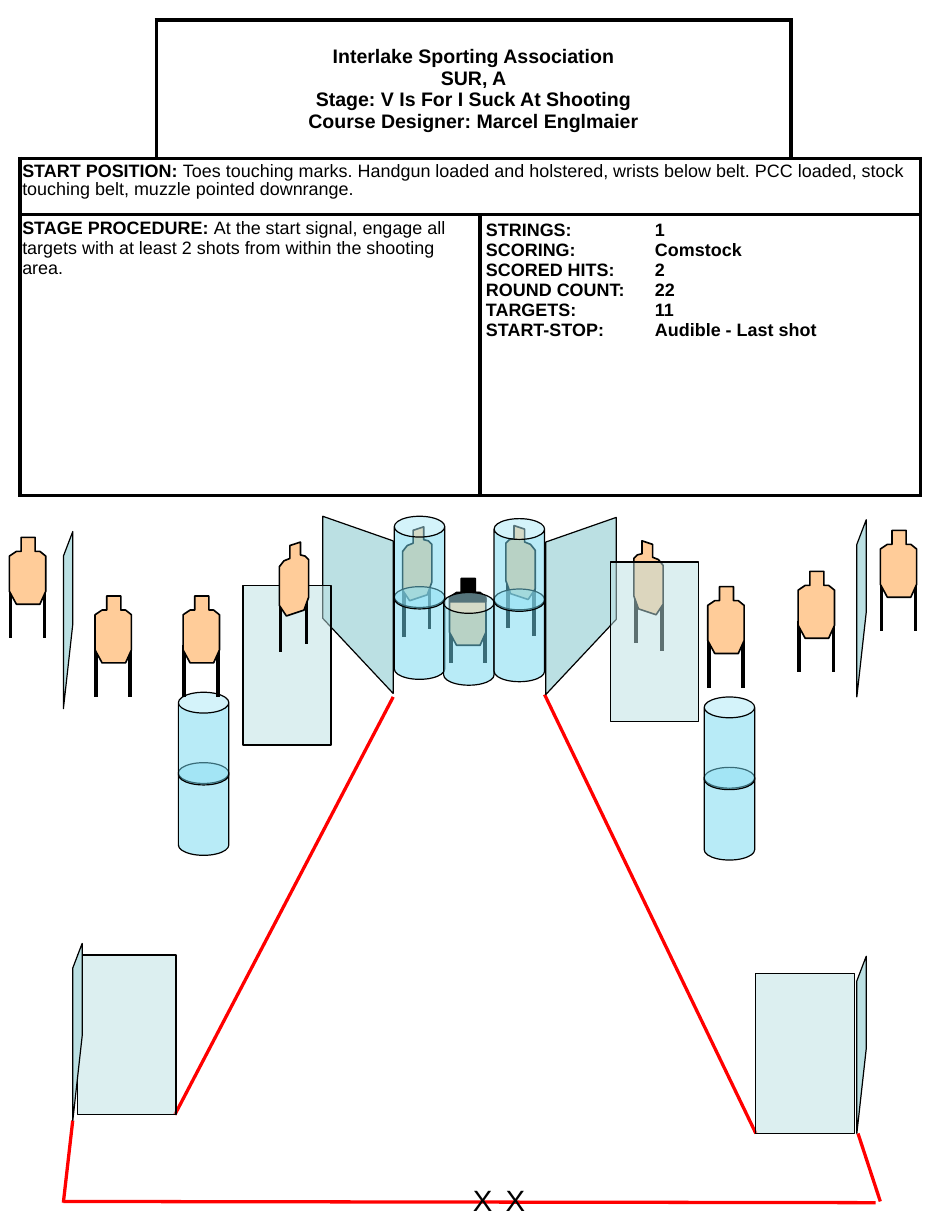
"""Build the shooting stage briefing: a stage table above a course diagram."""
from dataclasses import dataclass

from lxml import etree
from pptx import Presentation
from pptx import util as u
from pptx.dml.color import RGBColor
from pptx.enum import shapes, text
from pptx.oxml.ns import qn

EMU_PER_PX = 9144


def px(length):
    """Turn px, at 100 to the inch, into EMU."""
    return u.Emu(length * EMU_PER_PX)


@dataclass(frozen=True)
class Theme:
    """Colours, type sizes and line widths."""
    font: str = "Arial"
    ink: str = "000000"
    paper: str = "FFFFFF"
    boundary: str = "FF0000"
    target: str = "FFCC99"
    barrel: str = "73D9F1"
    wall: str = "BBE0E3"
    heading: int = 12
    body: int = 11
    mark: int = 18
    thin: float = 0.75
    outline: float = 1
    boundary_line: float = 2
    thick: float = 2.25


class StageSlide:
    """Draws the parts of a stage on one slide in one style."""

    FRONT = [(10, 0), (22, 0), (22, 12), (26, 12), (31, 16), (31, 46),
             (26, 57), (6, 57), (0, 46), (0, 16), (6, 12), (10, 12)]
    TURNED = [(9, 3), (18, 0), (18, 11), (22, 12), (25, 15), (25, 47),
              (21, 58), (6, 63), (0, 54), (0, 21), (4, 16), (9, 14)]

    def __init__(self, slide, theme):
        """Keep the slide and its style."""
        self.slide = slide
        self.theme = theme

    def paint(self, shape, color, width, opacity=100):
        """Fill and outline a shape without a shadow."""
        shape.shadow.inherit = False
        shape.fill.solid()
        shape.fill.fore_color.rgb = RGBColor.from_string(color)
        if opacity < 100:
            rgb = shape._element.spPr.find(qn("a:solidFill"))[0]
            etree.SubElement(rgb, qn("a:alpha"), val=str(opacity * 1000))
        shape.line.color.rgb = RGBColor.from_string(self.theme.ink)
        shape.line.width = u.Pt(width)

    def preset(self, kind, x, y, width, height, color, opacity=100):
        """Draw a preset shape."""
        shape = self.slide.shapes.add_shape(
            kind, px(x), px(y), px(width), px(height))
        self.paint(shape, color, self.theme.thin, opacity)
        return shape

    def polygon(self, x, y, points, color, width):
        """Draw a closed outline from points relative to x, y."""
        placed = [(x + dx, y + dy) for dx, dy in points]
        builder = self.slide.shapes.build_freeform(*placed[0], scale=EMU_PER_PX)
        builder.add_line_segments(placed[1:], close=True)
        self.paint(builder.convert_to_shape(), color, width)

    def line(self, start, end, color, width):
        """Draw a straight line between two points."""
        connector = self.slide.shapes.add_connector(
            shapes.MSO_CONNECTOR.STRAIGHT, *map(px, start + end))
        connector.line.color.rgb = RGBColor.from_string(color)
        connector.line.width = u.Pt(width)
        etree.SubElement(connector._element.spPr, qn("a:effectLst"))

    def target(self, x, y, leg_top=42):
        """Draw a target facing the shooter on two legs."""
        for leg in (x + 1, x + 30):
            self.line((leg, y + leg_top), (leg, y + leg_top + 44),
                      self.theme.ink, self.theme.thick)
        self.polygon(x, y, self.FRONT, self.theme.target, self.theme.outline)

    def turned_target(self, x, y, mirrored=False):
        """Draw a target turned to one side."""
        def flip(dx):
            return 24 - dx if mirrored else dx
        for dx, dy in ((1, 51), (23, 44)):
            leg = x + flip(dx)
            self.line((leg, y + dy), (leg, y + dy + 43),
                      self.theme.ink, self.theme.thick)
        self.polygon(x, y, [(flip(dx), dy) for dx, dy in self.TURNED],
                     self.theme.target, self.theme.outline)

    def hood(self, x, y):
        """Black out the head and shoulders of a front target."""
        shoulders = [(0, 20), (1, 16), (4, 14), (6, 13), (12, 12),
                     (25, 12), (28, 14), (31, 17), (31, 20)]
        self.polygon(x, y, shoulders, self.theme.ink, self.theme.thin)
        self.preset(shapes.MSO_SHAPE.RECTANGLE, x + 10, y + 1, 11, 11,
                    self.theme.ink)

    def barrels(self, x, y, count=2):
        """Stack barrels, the lowest first, with the top one at y."""
        for level in reversed(range(count)):
            barrel = self.preset(shapes.MSO_SHAPE.CAN, x, y + 60 * level,
                                 43, 79, self.theme.barrel, 50)
            barrel.adjustments[0] = 0.413

    def panel(self, x, y, width):
        """Draw a see-through wall facing the shooter."""
        self.preset(shapes.MSO_SHAPE.RECTANGLE, x, y, width, 136,
                    self.theme.wall, 50)

    def side_wall(self, x, y, width=8, far_bottom=79, mirrored=False):
        """Draw a wall seen at an angle."""
        points = [(width, far_bottom), (0, 151), (0, 21), (width, 0)]
        if mirrored:
            points = [(width - dx, dy) for dx, dy in points]
        self.polygon(x, y, points, self.theme.wall, self.theme.thin)

    def add_words(self, paragraph, content, size, bold=False):
        """Add a run for each line of the content."""
        for number, words in enumerate(content.split("\n")):
            if number:
                paragraph.add_line_break()
            run = paragraph.add_run()
            run.text = words
            run.font.name = self.theme.font
            run.font.size = u.Pt(size)
            run.font.bold = bold
            run.font.color.rgb = RGBColor.from_string(self.theme.ink)

    def start_mark(self, x, y):
        """Add a start position mark."""
        box = self.slide.shapes.add_textbox(px(x), px(y), px(31), px(40))
        box.text_frame.word_wrap = True
        self.add_words(box.text_frame.paragraphs[0], "X", self.theme.mark)

    def format_cell(self, cell, sides, inset_x=5, inset_y=5):
        """Give a cell its borders, fill and insets."""
        properties = cell._tc.get_or_add_tcPr()
        for side in "LRTB":
            border = etree.SubElement(properties, qn(f"a:ln{side}"),
                                      w=str(u.Pt(self.theme.thick)))
            if side in sides:
                fill = etree.SubElement(border, qn("a:solidFill"))
                etree.SubElement(fill, qn("a:srgbClr"), val=self.theme.ink)
            else:
                etree.SubElement(border, qn("a:noFill"))
        cell.fill.solid()
        cell.fill.fore_color.rgb = RGBColor.from_string(self.theme.paper)
        cell.margin_left = cell.margin_right = px(inset_x)
        cell.margin_top = cell.margin_bottom = px(inset_y)

    def briefing(self, x, y, columns, rows, heading, start, procedure, facts):
        """Draw the stage table with its four blocks of text."""
        table = self.slide.shapes.add_table(
            len(rows), len(columns), px(x), px(y),
            px(sum(columns)), px(sum(rows))).table
        table.first_row = table.horz_banding = False
        for column, width in zip(table.columns, columns):
            column.width = px(width)
        for row, height in zip(table.rows, rows):
            row.height = px(height)
        self.format_cell(table.cell(0, 0), "RB")
        self.format_cell(table.cell(0, 3), "LB")
        spans = [(0, 1, 2, 5, 5), (1, 0, 3, 2, 4), (2, 0, 1, 2, 3), (2, 2, 3, 5, 5)]
        for row, first, last, inset_x, inset_y in spans:
            table.cell(row, first).merge(table.cell(row, last))
            for column in range(first, last + 1):
                self.format_cell(table.cell(row, column),
                                 "LRTB" if column == first else "RTB",
                                 inset_x, inset_y)
        title_cell = table.cell(0, 1)
        title_cell.vertical_anchor = text.MSO_ANCHOR.MIDDLE
        title = title_cell.text_frame.paragraphs[0]
        title.alignment = text.PP_ALIGN.CENTER
        self.add_words(title, heading, self.theme.heading, True)
        for row, label, words in ((1, *start), (2, *procedure)):
            paragraph = table.cell(row, 0).text_frame.paragraphs[0]
            self.add_words(paragraph, label, self.theme.body, True)
            self.add_words(paragraph, words, self.theme.body)
        table.cell(1, 0).text_frame.paragraphs[0].line_spacing = 0.9
        frame = table.cell(2, 2).text_frame
        for number, (label, value) in enumerate(facts):
            paragraph = frame.add_paragraph() if number else frame.paragraphs[0]
            tabs = etree.SubElement(paragraph._p.get_or_add_pPr(), qn("a:tabLst"))
            etree.SubElement(tabs, qn("a:tab"), pos=str(px(144)), algn="l")
            self.add_words(paragraph, f"{label}:\t{value}", self.theme.body, True)


def main():
    """Build and save the stage briefing."""
    presentation = Presentation()
    presentation.slide_width, presentation.slide_height = px(800), px(1050)
    theme = Theme()
    stage = StageSlide(
        presentation.slides.add_slide(presentation.slide_layouts[6]), theme)
    stage.briefing(
        17, 17, (116, 276, 265, 110), (118, 48, 239),
        "Interlake Sporting Association\nSUR, A\n"
        "Stage: V Is For I Suck At Shooting\nCourse Designer: Marcel Englmaier",
        ("START POSITION: ",
         "Toes touching marks. Handgun loaded and holstered, wrists below belt. "
         "PCC loaded, stock touching belt, muzzle pointed downrange."),
        ("STAGE PROCEDURE: ",
         "At the start signal, engage all targets with at least 2 shots "
         "from within the shooting area."),
        [("STRINGS", "1"), ("SCORING", "Comstock"), ("SCORED HITS", "2"),
         ("ROUND COUNT", "22"), ("TARGETS", "11"),
         ("START-STOP", "Audible - Last shot")])
    for start, end in [((335, 594), (149, 950)), ((644, 966), (464, 592)),
                       ((746, 1025), (54, 1024)), ((62, 955), (54, 1025)),
                       ((750, 1024), (731, 966))]:
        stage.line(start, end, theme.boundary, theme.boundary_line)
    stage.turned_target(432, 448, mirrored=True)
    stage.turned_target(343, 449)
    stage.target(383, 493, leg_top=28)
    stage.hood(383, 493)
    for x, y, count in [(336, 440, 2), (378, 505, 1), (421, 442, 2),
                        (600, 594, 2), (152, 590, 2)]:
        stage.barrels(x, y, count)
    for x in (393, 421):
        stage.start_mark(x, 1003)
    stage.side_wall(465, 441, 60, 87)
    stage.side_wall(275, 440, 60, 87, mirrored=True)
    for x, y, width in [(207, 499, 75), (66, 814, 84), (644, 830, 84)]:
        stage.panel(x, y, width)
    for x, y in [(54, 453), (730, 443), (62, 804), (730, 815)]:
        stage.side_wall(x, y)
    for x, y in [(8, 458), (750, 452), (680, 487), (603, 500), (156, 508), (81, 508)]:
        stage.target(x, y)
    stage.turned_target(541, 461, mirrored=True)
    stage.turned_target(238, 462)
    stage.panel(520, 479, 75)
    presentation.save("out.pptx")


if __name__ == "__main__":
    main()
